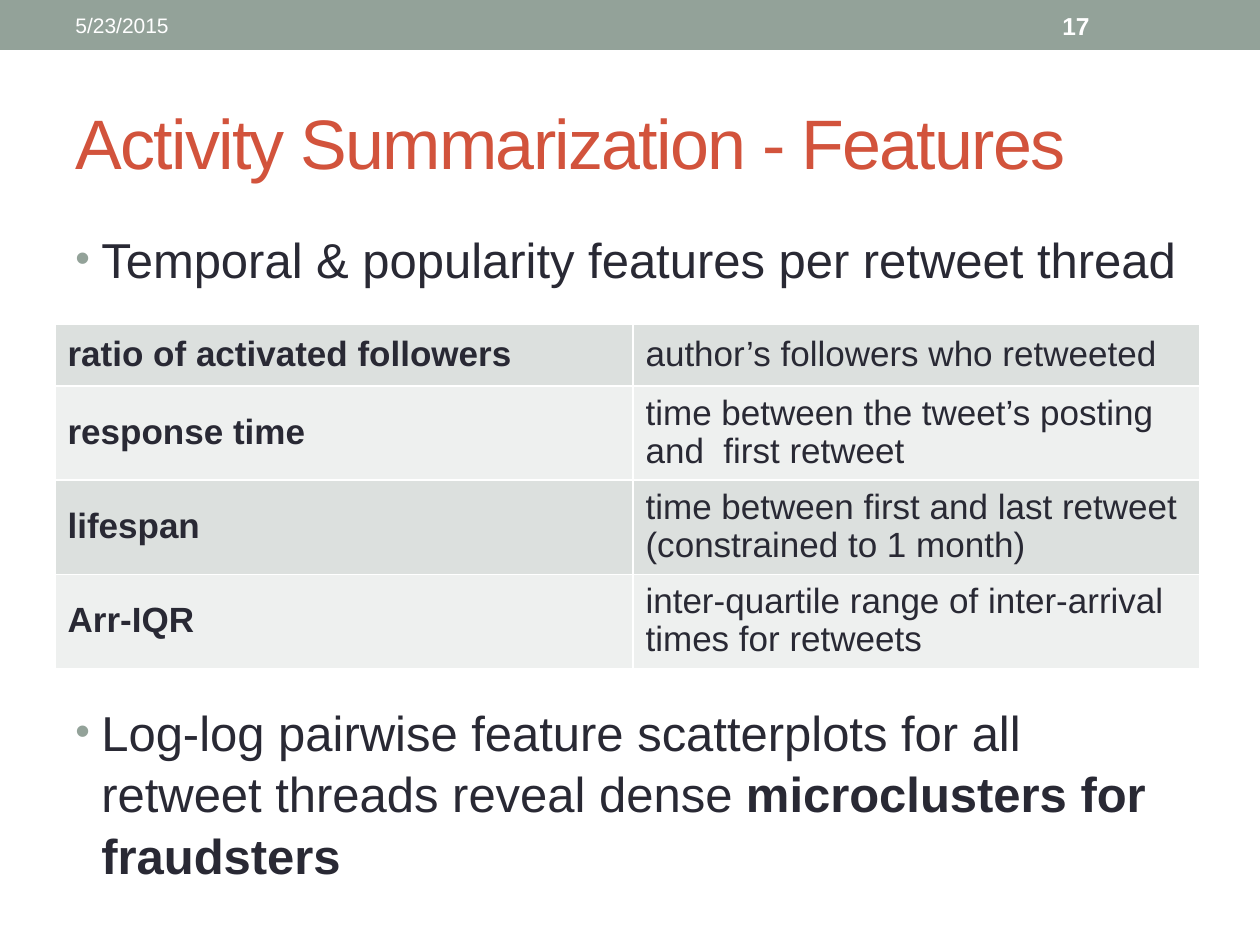
from lxml.etree import SubElement
from pptx import Presentation
from pptx.dml.color import RGBColor
from pptx.enum.shapes import MSO_SHAPE
from pptx.enum.text import MSO_ANCHOR, PP_ALIGN
from pptx.oxml.ns import qn
from pptx.util import Pt

PX = 914400 // 126
SAGE = RGBColor(0x93, 0xA2, 0x99)
RED = RGBColor(0xD2, 0x53, 0x3C)
INK = RGBColor(0x29, 0x29, 0x34)
WHITE = RGBColor(0xFF, 0xFF, 0xFF)
BANDS = RGBColor(0xDC, 0xE0, 0xDE), RGBColor(0xEE, 0xF0, 0xEF)

FEATURES = [
    ("ratio of activated followers", "author’s followers who retweeted"),
    ("response time", "time between the tweet’s posting and  first retweet"),
    ("lifespan", "time between first and last retweet (constrained to 1 month)"),
    ("Arr-IQR", "inter-quartile range of inter-arrival times for retweets"),
]


def scale(*box):
    return [n * PX for n in box]


def write(para, text, size, color=INK, bold=False, track=None):
    run = para.add_run()
    run.text = text
    font = run.font
    font.name, font.size, font.bold = "Arial", Pt(size), bold
    font.color.rgb = color
    if track is not None:
        run._r.get_or_add_rPr().set("spc", str(track))
    para.alignment = PP_ALIGN.LEFT


def add_box(slide, box, anchor=MSO_ANCHOR.TOP):
    frame = slide.shapes.add_textbox(*scale(*box)).text_frame
    frame.word_wrap = True
    frame.vertical_anchor = anchor
    return frame


def set_bullet(para):
    props = para._p.get_or_add_pPr()
    props.set("marL", str(26 * PX))
    props.set("indent", str(-26 * PX))
    color = SubElement(props, qn("a:buClr"))
    SubElement(color, qn("a:srgbClr"), val=str(SAGE))
    SubElement(props, qn("a:buSzPct"), val="85000")
    SubElement(props, qn("a:buFont"), typeface="Arial")
    SubElement(props, qn("a:buChar"), char="•")


def set_border(cell):
    props = cell._tc.get_or_add_tcPr()
    for i, side in enumerate(("lnL", "lnR", "lnT", "lnB")):
        line = props.makeelement(qn("a:" + side), {"w": str(Pt(1))})
        fill = SubElement(line, qn("a:solidFill"))
        SubElement(fill, qn("a:srgbClr"), val=str(WHITE))
        props.insert(i, line)


def add_header(slide, x, y, w, h):
    bar = slide.shapes.add_shape(MSO_SHAPE.RECTANGLE, *scale(x, y, w, h))
    bar.shadow.inherit = False
    bar.fill.solid()
    bar.fill.fore_color.rgb = SAGE
    bar.line.fill.background()
    date = add_box(slide, (x + 63, y + 3, 400, h - 5), MSO_ANCHOR.MIDDLE)
    write(date.paragraphs[0], "5/23/2015", 12, WHITE)
    number = add_box(slide, (x + 1050, y + 3, 147, h - 5), MSO_ANCHOR.MIDDLE)
    write(number.paragraphs[0], "17", 14, WHITE, bold=True)


def add_title(slide, *box):
    title = slide.shapes.title
    title.left, title.top, title.width, title.height = scale(*box)
    title.text_frame.vertical_anchor = MSO_ANCHOR.MIDDLE
    write(title.text_frame.paragraphs[0], "Activity Summarization - Features",
          40, RED, track=-100)


def add_body(slide, *box):
    """Two bullets, with room for the table between them."""
    frame = add_box(slide, box)
    first, last = frame.paragraphs[0], frame.add_paragraph()
    last.space_before = Pt(235)
    for para in (first, last):
        para.line_spacing = 1.05
        set_bullet(para)
    write(first, "Temporal & popularity features per retweet thread", 28)
    write(last, "Log-log pairwise feature scatterplots for all retweet "
                "threads reveal dense ", 28)
    write(last, "microclusters for fraudsters", 28, bold=True)


def add_features(slide, x, y, w, h):
    shape = slide.shapes.add_table(len(FEATURES), 2, *scale(x, y, w, h))
    table = shape.table
    table.first_row = table.horz_banding = False
    table.columns[0].width, table.columns[1].width = scale(w - 567, 567)
    top = 62
    rest = (h - top) // (len(FEATURES) - 1)
    for r, texts in enumerate(FEATURES):
        table.rows[r].height = (rest if r else top) * PX
        for c, text in enumerate(texts):
            cell = table.cell(r, c)
            cell.vertical_anchor = MSO_ANCHOR.MIDDLE
            cell.fill.solid()
            cell.fill.fore_color.rgb = BANDS[r % 2]
            set_border(cell)
            para = cell.text_frame.paragraphs[0]
            para.line_spacing = 0.97
            write(para, text, 20, bold=c == 0)


def main():
    deck = Presentation()
    deck.slide_width, deck.slide_height = scale(1260, 945)
    slide = deck.slides.add_slide(deck.slide_layouts[5])
    add_header(slide, 0, 0, 1260, 50)
    add_title(slide, 63, 73, 1134, 136)
    add_body(slide, 63, 220, 1134, 672)
    add_features(slide, 55, 324, 1145, 335)
    deck.save("out.pptx")


if __name__ == "__main__":
    main()
